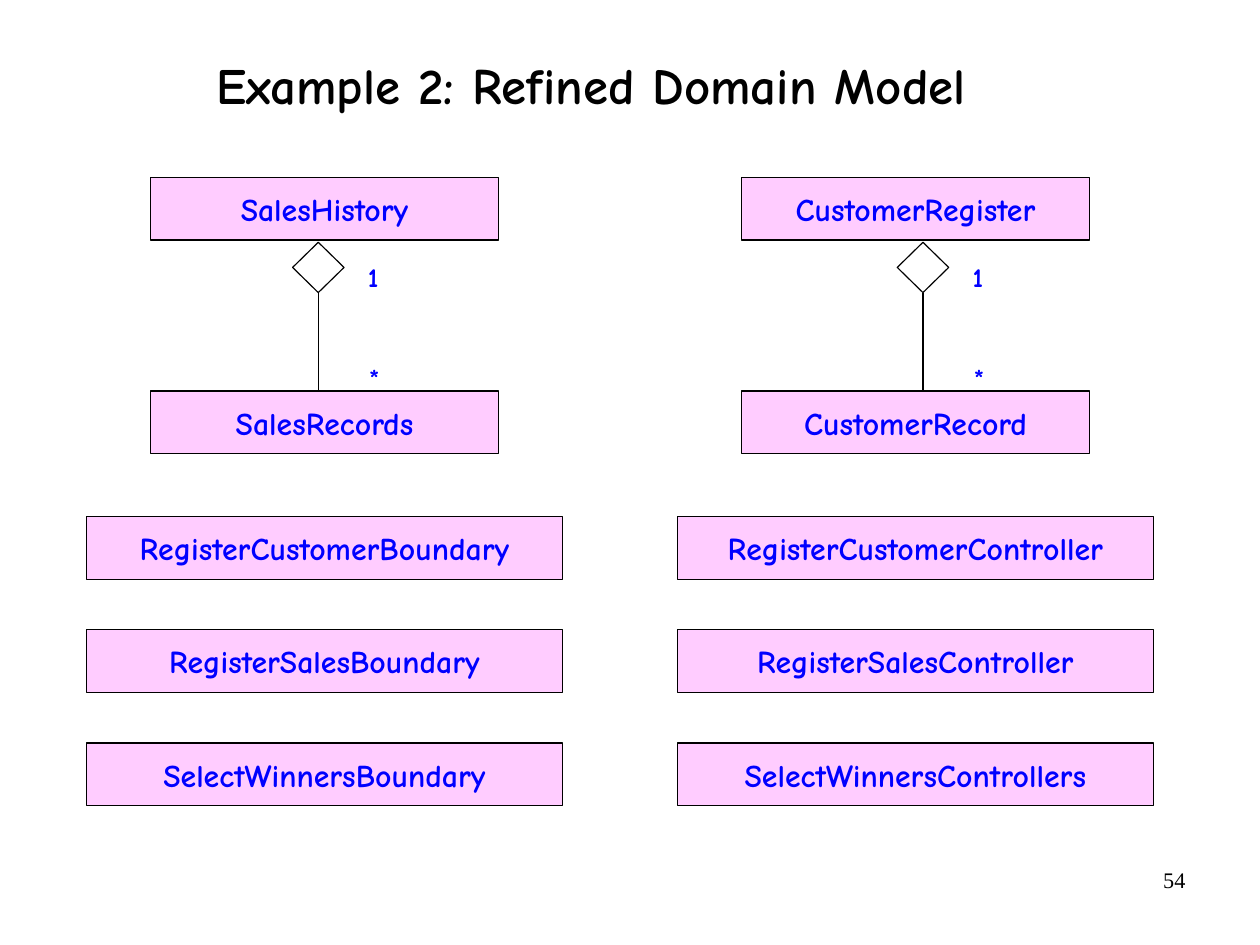
from pptx import Presentation
from pptx.dml.color import RGBColor
from pptx.enum import shapes, text
from pptx.oxml.ns import qn
from pptx.util import Inches, Pt
from lxml import etree

BLACK = RGBColor(0x00, 0x00, 0x00)
BLUE = RGBColor(0x00, 0x00, 0xFF)
PINK = RGBColor(0xFF, 0xCC, 0xFF)

TITLE = "Example 2: Refined Domain Model"
PAGE_NUMBER = "54"
COLUMNS = [
    {
        "center": 2.84,
        "diamond_left": 2.56,
        "whole": "SalesHistory",
        "part": "SalesRecords",
        "classes": ["RegisterCustomerBoundary", "RegisterSalesBoundary", "SelectWinnersBoundary"],
    },
    {
        "center": 8.01,
        "diamond_left": 7.85,
        "whole": "CustomerRegister",
        "part": "CustomerRecord",
        "classes": ["RegisterCustomerController", "RegisterSalesController", "SelectWinnersControllers"],
    },
]

CM_PER_INCH = 2.54
SLIDE_WIDTH, SLIDE_HEIGHT = 28 / CM_PER_INCH, 21 / CM_PER_INCH
ENTITY_WIDTH, CLASS_WIDTH, BOX_HEIGHT = 3.04, 4.16, 0.55
WHOLE_TOP, PART_TOP, CLASS_TOP, CLASS_STEP = 1.55, 3.42, 4.52, 0.99
DIAMOND_TOP, DIAMOND_WIDTH, DIAMOND_HEIGHT = 2.12, 0.45, 0.44
MULTIPLICITIES = [("1", 0.55, 2.22, 0.36), ("*", 0.56, 3.1, 0.34)]

LABEL_FONT = {"name": "Comic Neue", "size": Pt(20), "bold": True}
MULTIPLICITY_FONT = {**LABEL_FONT, "size": Pt(17)}
TITLE_FONT = {**LABEL_FONT, "size": Pt(32)}
NUMBER_FONT = {"name": "Times New Roman", "size": Pt(14), "bold": False}


def write(shape, words, font, color, align, anchor, margins, wrap=True):
    frame = shape.text_frame
    horizontal, vertical = (Inches(margin) for margin in margins)
    frame_format = {
        "word_wrap": wrap, "vertical_anchor": anchor,
        "margin_left": horizontal, "margin_right": horizontal,
        "margin_top": vertical, "margin_bottom": vertical,
    }
    for name, value in frame_format.items():
        setattr(frame, name, value)
    paragraph = frame.paragraphs[0]
    paragraph.alignment = align
    run = paragraph.add_run()
    run.text = words
    for name, value in font.items():
        setattr(run.font, name, value)
    run.font.color.rgb = color
    return paragraph


def outline(line):
    line.color.rgb = BLACK
    line.width = Pt(0.75)


def add_text(slide, box, *text_format):
    shape = slide.shapes.add_textbox(*map(Inches, box))
    return write(shape, *text_format)


def add_class(slide, name, center, top, width):
    box = (center - width / 2, top, width, BOX_HEIGHT)
    shape = slide.shapes.add_shape(shapes.MSO_SHAPE.RECTANGLE, *map(Inches, box))
    shape.shadow.inherit = False
    shape.fill.solid()
    shape.fill.fore_color.rgb = PINK
    outline(shape.line)
    write(shape, name, LABEL_FONT, BLUE, text.PP_ALIGN.CENTER, text.MSO_ANCHOR.MIDDLE, (0, 0))


def add_aggregation(slide, left):
    box = (left, DIAMOND_TOP, DIAMOND_WIDTH, DIAMOND_HEIGHT)
    diamond = slide.shapes.add_shape(shapes.MSO_SHAPE.DIAMOND, *map(Inches, box))
    diamond.shadow.inherit = False
    diamond.fill.background()
    outline(diamond.line)

    middle = Inches(left + DIAMOND_WIDTH / 2)
    connector = slide.shapes.add_connector(
        shapes.MSO_CONNECTOR.STRAIGHT,
        middle, Inches(DIAMOND_TOP + DIAMOND_HEIGHT), middle, Inches(PART_TOP),
    )
    connector.begin_connect(diamond, 2)
    outline(connector.line)
    etree.SubElement(connector.element.spPr, qn("a:effectLst"))

    for symbol, offset, top, width in MULTIPLICITIES:
        add_text(slide, (left + offset, top, width, 0.39), symbol, MULTIPLICITY_FONT, BLUE,
                 text.PP_ALIGN.LEFT, text.MSO_ANCHOR.TOP, (0.11, 0.06), False)


def main():
    presentation = Presentation()
    presentation.slide_width = Inches(SLIDE_WIDTH)
    presentation.slide_height = Inches(SLIDE_HEIGHT)
    slide = presentation.slides.add_slide(presentation.slide_layouts[6])

    title = add_text(slide, (0.49, 0.05, 9.37, 1.42), TITLE, TITLE_FONT, BLACK,
                     text.PP_ALIGN.CENTER, text.MSO_ANCHOR.MIDDLE, (0.02, 0.06))
    title.line_spacing = 0.94
    add_text(slide, (7.9, 7.53, 2.57, 0.57), PAGE_NUMBER, NUMBER_FONT, BLACK,
             text.PP_ALIGN.RIGHT, text.MSO_ANCHOR.TOP, (0.1, 0.05))

    for column in COLUMNS:
        center = column["center"]
        add_class(slide, column["whole"], center, WHOLE_TOP, ENTITY_WIDTH)
        add_class(slide, column["part"], center, PART_TOP, ENTITY_WIDTH)
        add_aggregation(slide, column["diamond_left"])
        for row, name in enumerate(column["classes"]):
            add_class(slide, name, center, CLASS_TOP + row * CLASS_STEP, CLASS_WIDTH)

    presentation.save("out.pptx")


if __name__ == "__main__":
    main()
